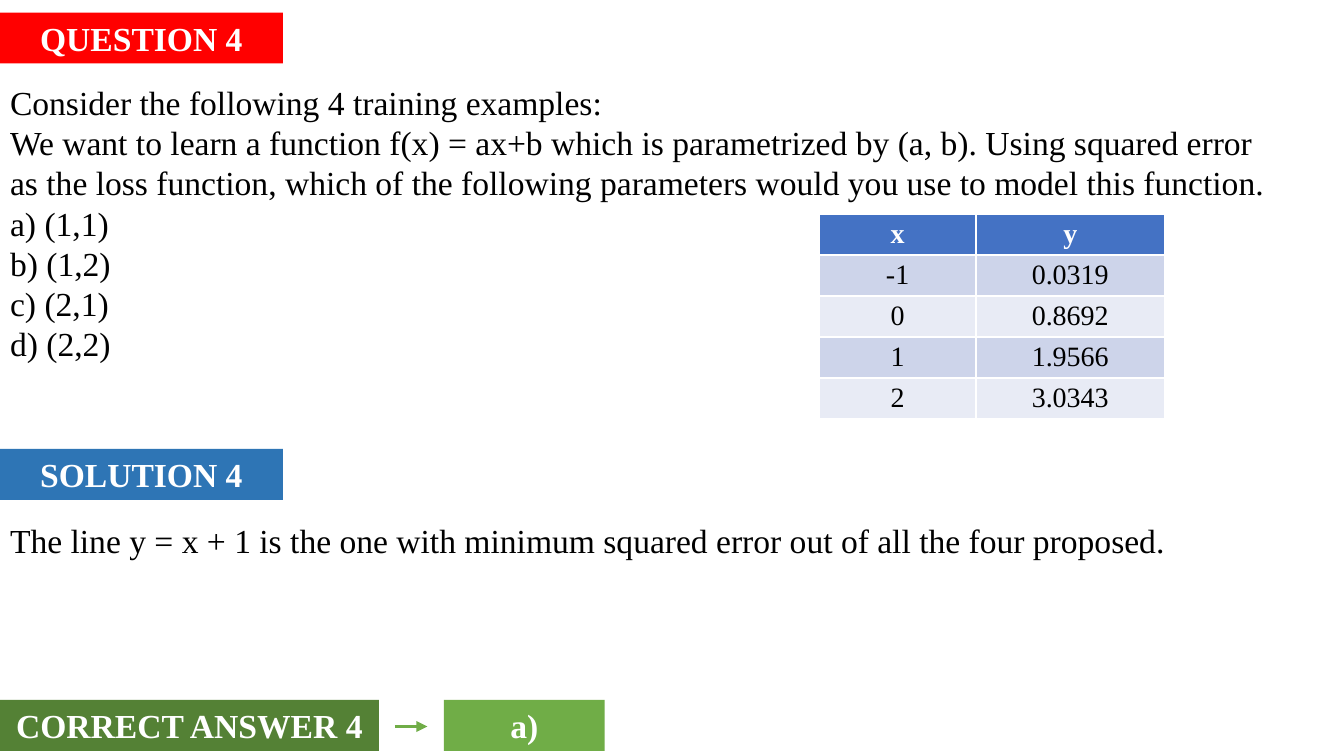
import pptx
import pptx.dml.color
import pptx.enum.shapes
import pptx.enum.text
import pptx.oxml.ns
import pptx.util
from dataclasses import dataclass
from lxml import etree

Pt = pptx.util.Pt
Align = pptx.enum.text.PP_ALIGN
Anchor = pptx.enum.text.MSO_ANCHOR
rgb = pptx.dml.color.RGBColor.from_string


@dataclass(frozen=True)
class Theme:
    font: str = "Times New Roman"
    text_size: float = 18
    table_size: float = 15
    black: str = "000000"
    white: str = "FFFFFF"
    red: str = "FF0000"
    blue: str = "2E75B5"
    dark_green: str = "548135"
    green: str = "70AD47"
    table_header: str = "4472C4"
    table_bands: tuple = ("CDD4EA", "E8EBF5")


theme = Theme()
INSET_X, INSET_Y = 5.4, 2.7
LABEL_HEIGHT = 27.3


def write(holder, lines, size, color, bold=False, align=Align.LEFT):
    """Fill a shape or table cell with paragraphs of one style."""
    holder.text_frame.text = "\n".join(lines)
    for paragraph in holder.text_frame.paragraphs:
        paragraph.alignment = align
        paragraph.font.name = theme.font
        paragraph.font.size = Pt(size)
        paragraph.font.bold = bold
        paragraph.font.color.rgb = rgb(color)


def place(shape, left, top, width, height, anchor):
    """Set the frame and the text insets of a shape."""
    shape.left, shape.top = Pt(left), Pt(top)
    shape.width, shape.height = Pt(width), Pt(height)
    frame = shape.text_frame
    frame.word_wrap = True
    frame.auto_size = pptx.enum.text.MSO_AUTO_SIZE.NONE
    frame.vertical_anchor = anchor
    frame.margin_left = frame.margin_right = Pt(INSET_X)
    frame.margin_top = frame.margin_bottom = Pt(INSET_Y)


presentation = pptx.Presentation()
presentation.slide_width, presentation.slide_height = Pt(720), Pt(405)
slide = presentation.slides.add_slide(presentation.slide_layouts[5])

# Coloured labels; the question label is the slide title
labels = [
    ("QUESTION 4", 0, 6.75, 151.5, theme.red),
    ("SOLUTION 4", 0, 240.5, 151.5, theme.blue),
    ("CORRECT ANSWER 4", 0, 375, 203, theme.dark_green),
    ("a)", 237.75, 375, 86.25, theme.green),
]
for text, left, top, width, color in labels:
    if text == "QUESTION 4":
        label = slide.shapes.title
    else:
        label = slide.shapes.add_shape(
            pptx.enum.shapes.MSO_SHAPE.RECTANGLE, 0, 0, 0, 0)
        label.shadow.inherit = False
    place(label, left, top, width, LABEL_HEIGHT, Anchor.MIDDLE)
    label.fill.solid()
    label.fill.fore_color.rgb = rgb(color)
    label.line.fill.background()
    write(label, [text], theme.text_size, theme.white, True, Align.CENTER)

# Question and solution texts
question = [
    "Consider the following 4 training examples:",
    "We want to learn a function f(x) = ax+b which is parametrized by (a, b). "
    "Using squared error",
    "as the loss function, which of the following parameters would you use "
    "to model this function.",
    "a) (1,1)",
    "b) (1,2)",
    "c) (2,1)",
    "d) (2,2)",
]
solution = ["The line y = x + 1 is the one with minimum squared error "
            "out of all the four proposed."]
for lines, top, height in [(question, 41, 158.4), (solution, 276, LABEL_HEIGHT)]:
    text_box = slide.shapes.add_textbox(0, 0, 0, 0)
    place(text_box, 0, top, 695.5, height, Anchor.TOP)
    write(text_box, lines, theme.text_size, theme.black)

# Arrow from the answer label to the answer
arrow = slide.shapes.add_connector(
    pptx.enum.shapes.MSO_CONNECTOR.STRAIGHT,
    Pt(211.5), Pt(389.25), Pt(229), Pt(389.25))
arrow.line.color.rgb = rgb(theme.green)
arrow.line.width = Pt(1.5)
qn = pptx.oxml.ns.qn
etree.SubElement(arrow.line._get_or_add_ln(), qn("a:tailEnd"), type="triangle")
etree.SubElement(arrow._element.spPr, qn("a:effectLst"))

# Training examples
examples = [
    ("x", "y"),
    ("-1", "0.0319"),
    ("0", "0.8692"),
    ("1", "1.9566"),
    ("2", "3.0343"),
]
column_widths = (84.25, 100.75)
row_height = 21.6
table = slide.shapes.add_table(
    len(examples), len(column_widths), Pt(438.75), Pt(114.5),
    Pt(sum(column_widths)), Pt(row_height * len(examples))).table
for column, width in zip(table.columns, column_widths):
    column.width = Pt(width)
for row_index, values in enumerate(examples):
    header = row_index == 0
    table.rows[row_index].height = Pt(row_height)
    fill = theme.table_header if header else theme.table_bands[(row_index - 1) % 2]
    color = theme.white if header else theme.black
    for column_index, value in enumerate(values):
        cell = table.cell(row_index, column_index)
        cell.margin_left = cell.margin_right = Pt(INSET_X)
        cell.margin_top = cell.margin_bottom = Pt(INSET_Y)
        cell.fill.solid()
        cell.fill.fore_color.rgb = rgb(fill)
        write(cell, [value], theme.table_size, color, header, Align.CENTER)

presentation.save("out.pptx")
